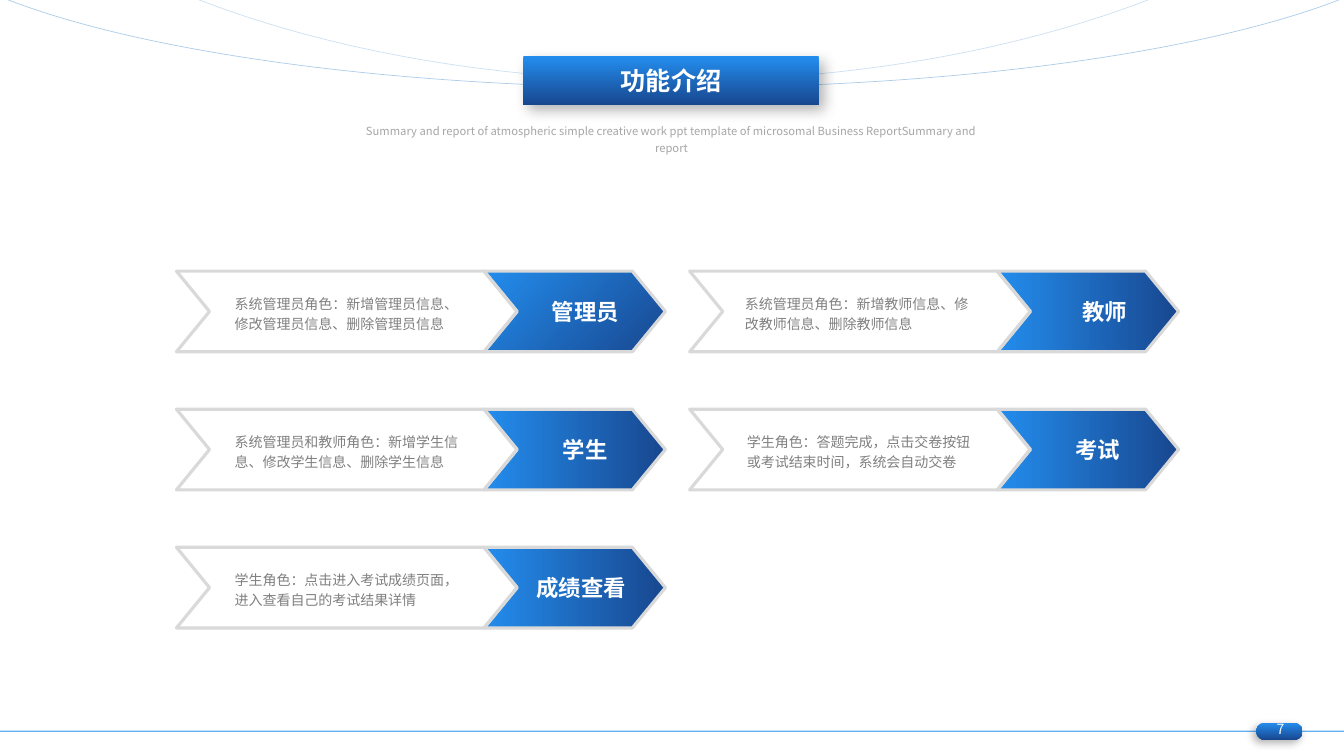
from collections import namedtuple
from dataclasses import dataclass

from lxml import etree
from pptx import Presentation
from pptx.dml.color import RGBColor
from pptx.enum import shapes, text
from pptx.oxml import ns
from pptx.util import Inches, Pt

Box = namedtuple("Box", "left top width height")
Card = namedtuple("Card", "column row label description label_width text_indent angle")


@dataclass(frozen=True)
class Theme:
    font: str = "Noto Sans CJK SC"
    light_blue: str = "238DED"
    dark_blue: str = "18478F"
    arc_blue: str = "5B9BD5"
    border: str = "D9D9D9"
    body: str = "808080"
    muted: str = "A6A6A6"
    white: str = "FFFFFF"
    number: str = "F8F8F8"
    shadow: str = "000000"
    title_size: int = 18
    label_size: int = 16
    body_size: int = 10
    caption_size: int = 8


THEME = Theme()
CENTER = text.PP_ALIGN.CENTER
SHAPE = shapes.MSO_SHAPE

CARDS = [
    Card(0, 0, "管理员", "系统管理员角色：新增管理员信息、修改管理员信息、删除管理员信息", 1.03, 0.48, 45),
    Card(0, 1, "学生", "系统管理员和教师角色：新增学生信息、修改学生信息、删除学生信息", 1.03, 0.48, 0),
    Card(0, 2, "成绩查看", "学生角色：点击进入考试成绩页面，进入查看自己的考试结果详情", 0.95, 0.48, 0),
    Card(1, 0, "教师", "系统管理员角色：新增教师信息、修改教师信息、删除教师信息", 1.09, 0.45, 0),
    Card(1, 1, "考试", "学生角色：答题完成，点击交卷按钮或考试结束时间，系统会自动交卷", 0.95, 0.47, 0),
]


def inches(box):
    return [Inches(value) for value in box]


def apply(target, values):
    for name, value in values.items():
        setattr(target, name, value)


def add_element(parent, tag, **attributes):
    child = etree.SubElement(parent, ns.qn(tag))
    for name, value in attributes.items():
        child.set(name, str(value))
    return child


def write(shape, wording, size, color, bold=False, align=None, spacing=None, inset=None):
    frame = shape.text_frame
    frame.word_wrap = True
    if inset is not None:
        sides = ("left", "top", "right", "bottom")
        apply(frame, {f"margin_{side}": Inches(inset) for side in sides})
    paragraph = frame.paragraphs[0]
    apply(paragraph, {"alignment": align, "line_spacing": spacing})
    run = paragraph.add_run()
    run.text = wording
    apply(run.font, {"size": Pt(size), "bold": bold, "name": THEME.font})
    run.font.color.rgb = RGBColor.from_string(color)
    add_element(run.font._element, "a:ea", typeface=THEME.font)


def add_label(parent, box, wording, size, color, **options):
    textbox = parent.shapes.add_textbox(*inches(box))
    write(textbox, wording, size, color, **options)


def fill_gradient(shape, angle):
    """Blue gradient; the angle runs clockwise."""
    shape.fill.gradient()
    shape.fill.gradient_angle = -angle % 360
    for stop, color in zip(shape.fill.gradient_stops, (THEME.light_blue, THEME.dark_blue)):
        stop.color.rgb = RGBColor.from_string(color)


def set_line(shape, color, width, opacity=100):
    shape.line.width = Pt(width)
    shape.line.color.rgb = RGBColor.from_string(color)
    if opacity < 100:
        srgb = shape.line._ln.find(".//" + ns.qn("a:srgbClr"))
        add_element(srgb, "a:alpha", val=opacity * 1000)


def add_shadow(shape, blur, distance, angle):
    properties = shape._element.spPr
    effects = properties.find(ns.qn("a:effectLst"))
    if effects is None:
        effects = add_element(properties, "a:effectLst")
    outer = add_element(effects, "a:outerShdw", blurRad=Pt(blur), dist=Pt(distance),
                        dir=angle * 60000, algn="ctr", rotWithShape=0)
    color = add_element(outer, "a:srgbClr", val=THEME.shadow)
    add_element(color, "a:alpha", val=30000)


def add_preset(parent, preset, box, *adjustments):
    shape = parent.shapes.add_shape(preset, *inches(box))
    shape.shadow.inherit = False
    for index, value in enumerate(adjustments):
        shape.adjustments[index] = value
    return shape


def add_arc(slide, box, start, end, opacity):
    arc = add_preset(slide, SHAPE.ARC, box, start, end)
    arc.rotation = 180
    arc.fill.background()
    set_line(arc, THEME.arc_blue, 0.5, opacity)


def add_header(slide, box):
    """Title pill in the box, with arcs behind it and a caption below."""
    arc_left = box.left - 6.25
    add_arc(slide, Box(arc_left, box.top - 3.34, 15.48, 3.65), 112.82, 211.33, 50)
    add_arc(slide, Box(arc_left, box.top - 7.54, 15.48, 7.78), 127.02, 196.69, 30)
    add_label(slide, Box(box.left - 1.77, box.top + 0.58, 6.48, 0.26),
              "Summary and report of atmospheric simple creative work ppt template "
              "of microsomal Business ReportSummary and report",
              THEME.caption_size, THEME.muted, align=CENTER, spacing=1.3)

    title = slide.shapes.title
    apply(title, dict(zip(box._fields, inches(box))))
    geometry = add_element(title._element.spPr, "a:prstGeom", prst="roundRect")
    add_element(add_element(geometry, "a:avLst"), "a:gd", name="adj", fmla="val 50000")
    fill_gradient(title, 90)
    title.line.fill.background()
    add_shadow(title, 10, 5, 45)
    apply(title.text_frame, {"auto_size": text.MSO_AUTO_SIZE.NONE,
                             "vertical_anchor": text.MSO_ANCHOR.MIDDLE})
    write(title, "功能介绍", THEME.title_size, THEME.white, bold=True, align=CENTER)
    slide.shapes._spTree.append(title._element)  # in front of the arcs


def add_footer(slide, box, number):
    """Rule across the middle of the box, with the page number on a pill."""
    middle = Inches(box.top + box.height / 2)
    rule = slide.shapes.add_connector(shapes.MSO_CONNECTOR.STRAIGHT, Inches(box.left), middle,
                                      Inches(box.left + box.width), middle)
    set_line(rule, THEME.light_blue, 1, 70)
    add_element(rule._element.spPr, "a:effectLst")

    right = box.left + box.width
    pill = add_preset(slide, SHAPE.ROUNDED_RECTANGLE,
                      Box(right - 0.87, box.top, 0.46, box.height), 0.5)
    fill_gradient(pill, 90)
    pill.line.fill.background()
    add_shadow(pill, 6, 3, 135)
    add_label(slide, Box(right - 0.9, box.top - 0.07, 0.54, 0.27), number,
              THEME.body_size, THEME.number, align=CENTER)


def add_card(slide, box, card):
    """Outlined description arrow leading into a blue label arrow."""
    group = slide.shapes.add_group_shape()
    label_arrow = add_preset(group, SHAPE.CHEVRON,
                             Box(box.left + 3.05, box.top, box.width - 3.05, box.height), 0.41)
    fill_gradient(label_arrow, card.angle)
    text_arrow = add_preset(group, SHAPE.CHEVRON,
                            Box(box.left, box.top, 3.38, box.height), 0.41)
    text_arrow.fill.background()
    for arrow in (label_arrow, text_arrow):
        set_line(arrow, THEME.border, 2.25)
    add_label(group, Box(box.left + card.text_indent, box.top + 0.16, 2.46, 0.5),
              card.description, THEME.body_size, THEME.body, spacing=1.2)
    label_left = box.left + (3.57 if card.column else 3.54)
    add_label(group, Box(label_left, box.top + 0.27, card.label_width, 0.27),
              card.label, THEME.label_size, THEME.white, bold=True, align=CENTER, inset=0)


def add_cards(slide, box):
    for card in CARDS:
        add_card(slide, Box(box.left + 5.09 * card.column, box.top + 1.37 * card.row, 4.85, 0.8),
                 card)


def main():
    presentation = Presentation()
    apply(presentation, {"slide_width": Inches(13.33), "slide_height": Inches(7.5)})
    slide = presentation.slides.add_slide(presentation.slide_layouts.get_by_name("Title Only"))
    add_header(slide, Box(5.19, 0.56, 2.93, 0.48))
    add_footer(slide, Box(0, 7.17, 13.33, 0.17), "7")
    add_cards(slide, Box(1.75, 2.69, 9.94, 3.54))
    presentation.save("out.pptx")


if __name__ == "__main__":
    main()
